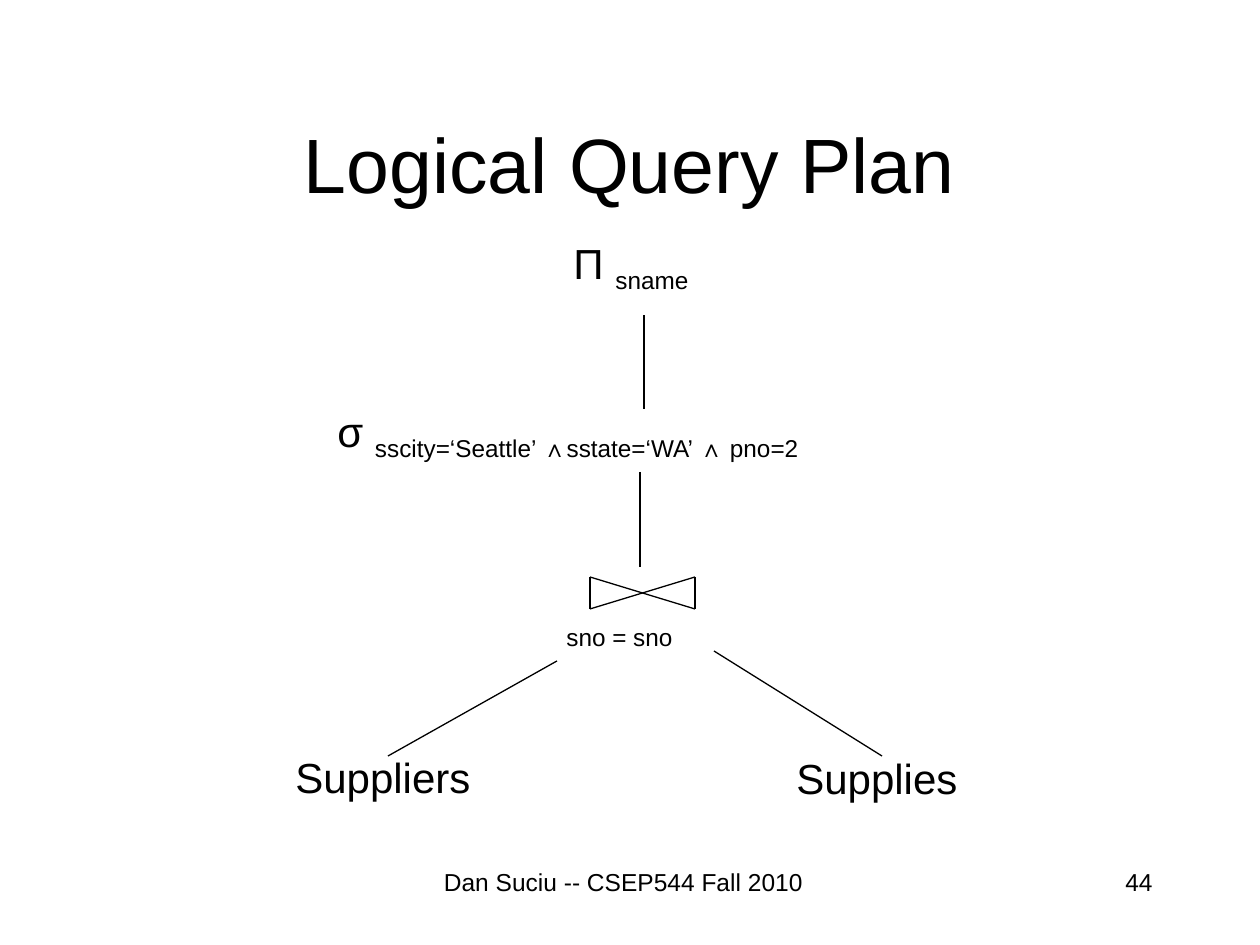
from dataclasses import dataclass

from lxml.etree import SubElement
from pptx import Presentation
from pptx.dml.color import RGBColor
from pptx.enum.shapes import MSO_CONNECTOR as Connector
from pptx.enum.text import MSO_ANCHOR as Anchor, MSO_AUTO_SIZE as AutoSize, PP_ALIGN as Align
from pptx.oxml.ns import qn
from pptx.util import Emu, Pt

BLACK = RGBColor(0, 0, 0)
WHITE = RGBColor(255, 255, 255)
FONT = "Arial"
PX_PER_INCH = 126


@dataclass(frozen=True)
class Box:
    left: int
    top: int
    width: int
    height: int


@dataclass(frozen=True)
class Label:
    box: Box
    text: str
    subscript: str = ""


@dataclass(frozen=True)
class Caption:
    box: Box
    text: str
    align: Align


@dataclass(frozen=True)
class Edge:
    x1: int
    y1: int
    x2: int
    y2: int


TITLE_BOX = Box(94, 84, 1071, 158)
LABELS = [
    Label(Box(561, 231, 154, 64), "Π ", "sname"),
    Label(Box(325, 399, 532, 64), "σ ", "sscity=‘Seattle’ ∧sstate=‘WA’ ∧ pno=2"),
    Label(Box(554, 588, 149, 47), "", "sno = sno"),
    Label(Box(283, 745, 203, 64), "Suppliers"),
    Label(Box(784, 746, 188, 64), "Supplies"),
]
CAPTIONS = [
    Caption(Box(424, 861, 399, 63), "Dan Suciu -- CSEP544 Fall 2010", Align.CENTER),
    Caption(Box(903, 861, 262, 63), "44", Align.RIGHT),
]
TREE_EDGES = [
    Edge(644, 315, 644, 409),
    Edge(640, 472, 640, 567),
    Edge(388, 756, 557, 661),
    Edge(714, 651, 882, 756),
]
JOIN_BOX = Box(590, 577, 105, 32)


def px(length: int) -> Emu:
    return Emu(round(length * 914400 / PX_PER_INCH))


def place(box: Box) -> tuple:
    return px(box.left), px(box.top), px(box.width), px(box.height)


def format_paragraph(paragraph, size: int, align: Align) -> None:
    paragraph.alignment = align
    paragraph.font.name = FONT
    paragraph.font.size = Pt(size)
    paragraph.font.color.rgb = BLACK


def set_title(slide, text: str) -> None:
    title = slide.shapes.title
    title.left, title.top, title.width, title.height = place(TITLE_BOX)
    title.text_frame.text = text
    title.text_frame.vertical_anchor = Anchor.MIDDLE
    format_paragraph(title.text_frame.paragraphs[0], 44, Align.CENTER)


def add_label(slide, label: Label) -> None:
    frame = slide.shapes.add_textbox(*place(label.box)).text_frame
    frame.word_wrap = False
    frame.auto_size = AutoSize.SHAPE_TO_FIT_TEXT
    paragraph = frame.paragraphs[0]
    format_paragraph(paragraph, 24, Align.LEFT)
    if label.text:
        paragraph.add_run().text = label.text
    if label.subscript:
        run = paragraph.add_run()
        run.text = label.subscript
        run._r.get_or_add_rPr().set("baseline", "-25000")


def add_caption(slide, caption: Caption) -> None:
    frame = slide.shapes.add_textbox(*place(caption.box)).text_frame
    frame.word_wrap = True
    frame.text = caption.text
    format_paragraph(frame.paragraphs[0], 14, caption.align)


def add_edge(shapes, edge: Edge) -> None:
    line = shapes.add_connector(
        Connector.STRAIGHT, px(edge.x1), px(edge.y1), px(edge.x2), px(edge.y2)
    )
    line.line.color.rgb = BLACK
    line.line.width = Pt(0.75)
    SubElement(line._element.spPr, qn("a:effectLst"))


def add_join_symbol(slide, box: Box) -> None:
    right, bottom = box.left + box.width, box.top + box.height
    group = slide.shapes.add_group_shape()
    for start in (box.left, right):
        for end in (box.left, right):
            add_edge(group.shapes, Edge(start, box.top, end, bottom))


def main() -> None:
    presentation = Presentation()
    presentation.slide_width = px(10 * PX_PER_INCH)
    presentation.slide_height = px(945)
    slide = presentation.slides.add_slide(presentation.slide_layouts[5])
    slide.background.fill.solid()
    slide.background.fill.fore_color.rgb = WHITE

    set_title(slide, "Logical Query Plan")
    for label in LABELS:
        add_label(slide, label)
    for edge in TREE_EDGES:
        add_edge(slide.shapes, edge)
    add_join_symbol(slide, JOIN_BOX)
    for caption in CAPTIONS:
        add_caption(slide, caption)

    presentation.save("out.pptx")


if __name__ == "__main__":
    main()
